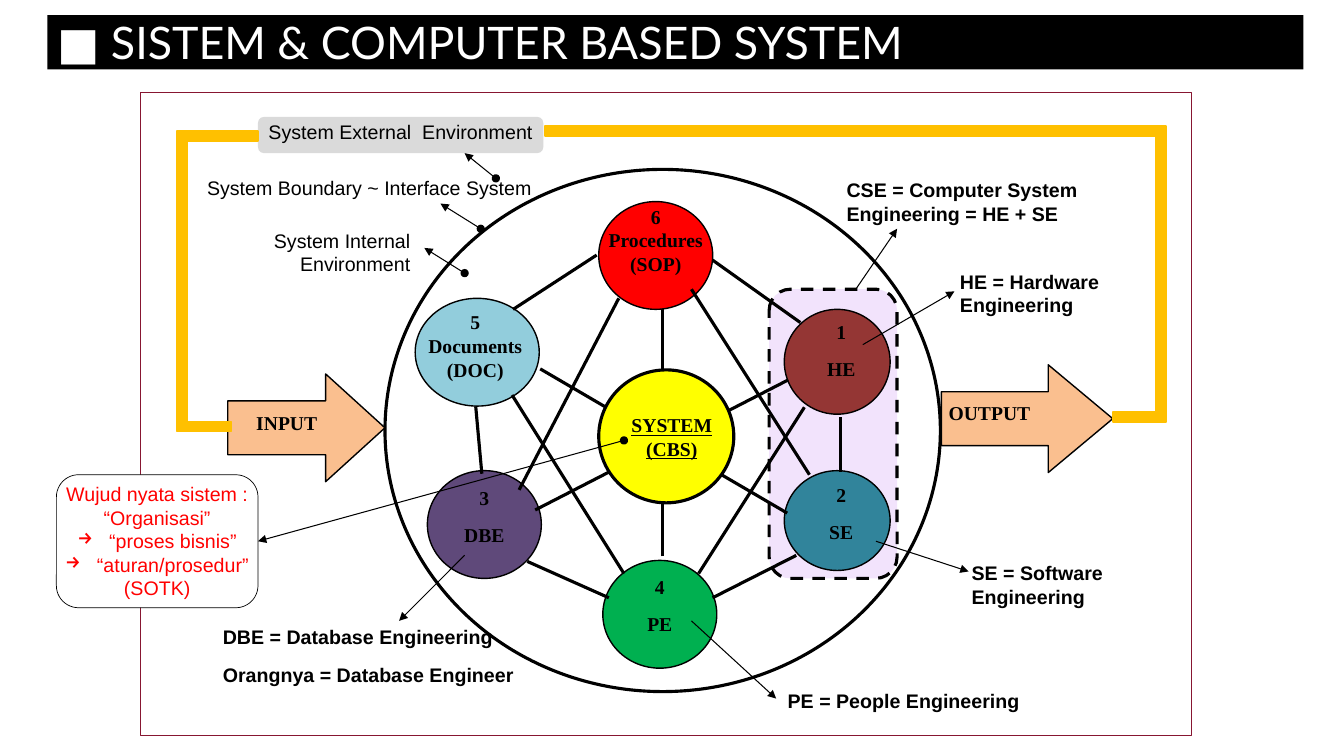
from lxml.etree import SubElement
from pptx import Presentation
from pptx.dml.color import RGBColor
from pptx.enum.dml import MSO_LINE
from pptx.enum.shapes import MSO_CONNECTOR, MSO_SHAPE as Form
from pptx.enum.text import MSO_ANCHOR as Anchor, PP_ALIGN as Align
from pptx.oxml.ns import qn
from pptx.util import Pt

COLORS = {
    "black": "000000", "white": "FFFFFF", "maroon": "871631", "grey": "DADADA",
    "lilac": "F2E3FC", "red": "FF0000", "green": "00B050", "sky": "92CDDC",
    "brick": "943634", "purple": "5F497A", "teal": "31849B", "yellow": "FFFF00",
    "peach": "FABF8F", "gold": "FFC000",
}
SANS = {"name": "Arial", "size": Pt(14)}
BOLD_SANS = {**SANS, "bold": True}
SERIF = {"name": "Times New Roman", "size": Pt(14), "bold": True}
TITLE = {"name": "Lato", "size": Pt(32)}
CENTER = {"alignment": Align.CENTER}
SPACED = {"space_after": Pt(10)}
CENTER_SPACED = {**CENTER, **SPACED}


def color(name):
    return RGBColor.from_string(COLORS[name])


def apply(target, formats):
    for name, value in formats.items():
        setattr(target, name, value)


class SlideBuilder:
    def __init__(self, page):
        self.page = page

    def paint(self, shape, fill=None, line=None, width=1, dashed=False):
        shape.shadow.inherit = False
        if fill:
            shape.fill.solid()
            shape.fill.fore_color.rgb = color(fill)
        else:
            shape.fill.background()
        if line:
            shape.line.color.rgb = color(line)
            shape.line.width = Pt(width)
            if dashed:
                shape.line.dash_style = MSO_LINE.DASH
        else:
            shape.line.fill.background()
        return shape

    def shape(self, form, box, **look):
        shape = self.page.shapes.add_shape(form, *map(Pt, box))
        return self.paint(shape, **look)

    def fill_text(self, shape, lines, font, layout, ink="black", anchor=Anchor.TOP,
                  insets=(0.72, 0.72, 0.72, 0.72)):
        frame = shape.text_frame
        sides = ("margin_left", "margin_top", "margin_right", "margin_bottom")
        apply(frame, {"word_wrap": True, "vertical_anchor": anchor,
                      **dict(zip(sides, map(Pt, insets)))})
        for index, line in enumerate(lines):
            para = frame.add_paragraph() if index else frame.paragraphs[0]
            apply(para, {"alignment": Align.LEFT, **layout})
            span = para.add_run()
            span.text = line
            apply(span.font, font)
            span.font.color.rgb = color(ink)
        return frame.paragraphs

    def label(self, box, lines, font=BOLD_SANS, layout=SPACED, fill=None):
        shape = self.shape(Form.ROUNDED_RECTANGLE, box, fill=fill)
        return self.fill_text(shape, lines, font, layout)

    def caption(self, box, lines, layout=CENTER, font=SERIF):
        """Free text laid over a circle."""
        self.fill_text(self.page.shapes.add_textbox(*map(Pt, box)), lines, font, layout)

    def line(self, start, end, width=2.25, head=None, tail=None):
        link = self.page.shapes.add_connector(
            MSO_CONNECTOR.STRAIGHT, *map(Pt, (*start, *end)))
        link.line.color.rgb = color("black")
        link.line.width = Pt(width)
        properties = link._element.spPr
        outline = properties.find(qn("a:ln"))
        for tag, kind in (("a:headEnd", head), ("a:tailEnd", tail)):
            if kind:
                SubElement(outline, qn(tag), type=kind)
        SubElement(properties, qn("a:effectLst"))

    def pointer(self, start, end, head=None):
        self.line(start, end, 0.75, head, "triangle")

    def block_arrow(self, left, neck, right, top, height=77):
        """Right-pointing arrow whose shaft is half as high as its head."""
        upper, lower = top + height / 4, top + height * 3 / 4
        corners = [(neck, upper), (neck, top), (right, top + height / 2),
                   (neck, top + height), (neck, lower), (left, lower)]
        builder = self.page.shapes.build_freeform(Pt(left), Pt(upper))
        builder.add_line_segments([(Pt(x), Pt(y)) for x, y in corners])
        self.paint(builder.convert_to_shape(), fill="peach", line="black")


def add_bullet(para, mark, indent):
    properties = para._p.get_or_add_pPr()
    properties.set("marL", str(Pt(indent)))
    properties.set("indent", str(Pt(-indent)))
    SubElement(properties, qn("a:buChar"), char=mark)


# fill, circle, caption position and width, lines, caption layout
NODES = [
    ("red", (427.7, 144, 81.4, 77), (427.7, 145.4, 81.4),
     ["6", "Procedures", "(SOP)"], CENTER),
    ("green", (430.6, 400.3, 81.4, 77), (430.6, 409.7, 81.4), ["4", "PE"], CENTER_SPACED),
    ("sky", (296.6, 213.1, 88.6, 77), (290.2, 221, 98.6),
     ["5", "Documents", "(DOC)"], CENTER),
    ("brick", (560.2, 221, 75.6, 74.9), (560.2, 227.5, 81.4), ["1", "HE"], CENTER_SPACED),
    ("purple", (305.3, 336.2, 81.4, 77), (305.3, 346.3, 81.4), ["3", "DBE"], CENTER_SPACED),
    ("teal", (560.2, 336.2, 75.6, 71.3), (560.2, 344.2, 81.4), ["2", "SE"], CENTER_SPACED),
]
LINKS = [
    ((339.8, 290.2), (344.2, 338.4)), ((600.5, 298.1), (600.5, 337)),
    ((376.6, 401), (434.9, 427)), ((509, 185.8), (571.7, 230.4)),
    ((509, 427), (568.8, 396.7)), ((366.5, 221), (426.2, 182.2)),
    ((385.9, 263.5), (562.3, 366.5)), ((382.3, 364.3), (563, 271.4)),
    ((473, 397.4), (473, 221)), ((370.8, 349.9), (442, 213.1)),
    ((578.2, 339.1), (493.9, 206.6)), ((499, 409.7), (574.6, 290.9)),
    ((445.7, 409.7), (365.8, 282.2)),
]
LEGENDS = [
    ((560.2, 489.6, 195, 35.3), ["PE = People Engineering"]),
    ((601.2, 123.8, 189.4, 58.3), ["CSE = Computer System Engineering = HE + SE"]),
    ((681.8, 188.6, 111.6, 66.2), ["HE = Hardware Engineering"]),
    ((690.5, 397.4, 121.7, 56.9), ["SE = Software Engineering"]),
    ((155.5, 442.8, 230.4, 60.5),
     ["DBE = Database Engineering", "Orangnya = Database Engineer"]),
]
LEGEND_POINTERS = [
    ((611.3, 206.6), (640.8, 163.4)), ((616.3, 246.2), (681.8, 208.1)),
    ((625.7, 386.6), (691.9, 408.2)), ((493.9, 443.5), (554.4, 499)),
    ((331.9, 396.7), (285.1, 443.5)),
]
DOTTED_POINTERS = [
    ((354.2, 127.4), (331.9, 109.4)), ((343.4, 163.4), (314.6, 145.4)),
    ((331.9, 195.1), (303.1, 177.1)), ((445.7, 314.6), (184.3, 386.6)),
]
BAR = 7.2
FEEDBACK_BARS = [
    (126.7, 93.6, 57.6, BAR), (126.7, 94.3, BAR, 213.1), (126.7, 301, 38.2, BAR),
    (794.9, 294.5, 38.2, BAR), (825.8, 93.6, BAR, 204.5), (389.5, 90, 443.5, BAR),
]


def main():
    deck = Presentation()
    apply(deck, {"slide_width": Pt(960), "slide_height": Pt(540)})
    build = SlideBuilder(deck.slides.add_slide(deck.slide_layouts[6]))

    title = build.shape(Form.RECTANGLE, (33.8, 10.8, 897.2, 38.9), fill="black")
    build.fill_text(title, ["■ SISTEM & COMPUTER BASED SYSTEM"], TITLE,
                    {"line_spacing": 0.9}, "white", Anchor.BOTTOM, (7.2, 3.6, 7.2, 0))
    build.shape(Form.RECTANGLE, (100.1, 65.5, 751, 459.4),
                fill="white", line="maroon", width=0.25)

    build.shape(Form.OVAL, (275, 121, 396.7, 373), fill="white", line="black", width=2.25)
    build.label((184.3, 83.5, 203.8, 25.9), ["System External  Environment"],
                SANS, CENTER_SPACED, "grey")
    build.label((137.5, 123.8, 244.8, 31), ["System Boundary ~ Interface System"],
                SANS, {"alignment": Align.RIGHT, **SPACED})
    build.shape(Form.ROUNDED_RECTANGLE, (549.4, 206.6, 91.4, 206.6),
                fill="lilac", line="black", width=2.25, dashed=True)
    internal = build.label((169.2, 160.6, 134.6, 41.8), ["System Internal", "Environment"],
                           SANS, {"alignment": Align.RIGHT})
    internal[0]._p.get_or_add_pPr().set("marR", str(Pt(7.8)))

    for fill, circle, spot, lines, layout in NODES:
        build.shape(Form.OVAL, circle, fill=fill, line="black")
        build.caption((*spot, 50), lines, layout)
    for start, end in LINKS:
        build.line(start, end)
    build.shape(Form.OVAL, (427.7, 264.2, 96.5, 95), fill="yellow", line="black", width=2.25)
    build.caption((430.6, 294.5, 98.6, 50.4), ["SYSTEM", "(CBS)"],
                  font={**SERIF, "underline": True})

    build.block_arrow(162.7, 232.6, 275, 267.1)
    build.block_arrow(672.5, 748.8, 794.9, 260.6)
    for box, text, align in (((169.2, 293, 71.3, 25.9), "INPUT", Align.CENTER),
                             ((676.8, 285.8, 92.2, 23), "OUTPUT", Align.JUSTIFY)):
        build.fill_text(build.shape(Form.RECTANGLE, box, fill="peach"), [text], SERIF,
                        {"alignment": align, **SPACED})

    for box, lines in LEGENDS:
        build.label(box, lines)
    for start, end in LEGEND_POINTERS:
        build.pointer(start, end)
    for start, end in DOTTED_POINTERS:
        build.pointer(start, end, "oval")

    note = build.shape(Form.ROUNDED_RECTANGLE, (40.3, 339.1, 144, 95),
                       fill="white", line="black", width=0.5)
    note_lines = ["Wujud nyata sistem :", "“Organisasi”", "“proses bisnis”",
                  "“aturan/prosedur”", "(SOTK)"]
    paras = build.fill_text(note, note_lines, SANS, CENTER, "red")
    for para in paras[2:4]:
        add_bullet(para, "→", 22.5)

    for bar in FEEDBACK_BARS:
        build.shape(Form.RECTANGLE, bar, fill="gold", line="gold", width=1.25)
    deck.save("out.pptx")


if __name__ == "__main__":
    main()
